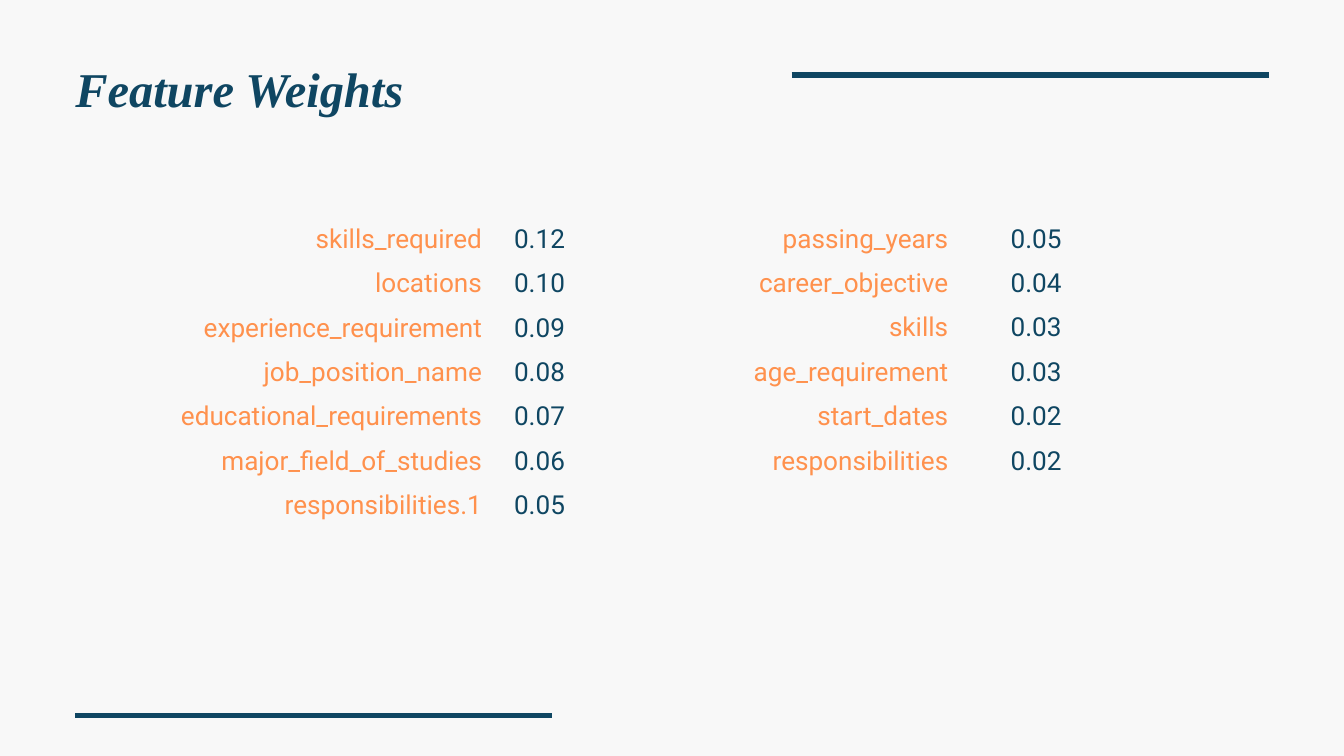
import pptx
import pptx.dml.color
import pptx.enum.shapes
import pptx.enum.text
import pptx.util
from pptx.util import Inches

NAVY = pptx.dml.color.RGBColor(0x0F, 0x46, 0x62)
ORANGE = pptx.dml.color.RGBColor(0xFF, 0x91, 0x4D)
PAPER = pptx.dml.color.RGBColor(0xF8, 0xF8, 0xF8)
LEFT = pptx.enum.text.PP_ALIGN.LEFT
RIGHT = pptx.enum.text.PP_ALIGN.RIGHT

MARGIN = 1.12
RULE_LENGTH = 7.1

FIRST_WEIGHTS = [
    ("skills_required", "0.12"),
    ("locations", "0.10"),
    ("experience_requirement", "0.09"),
    ("job_position_name", "0.08"),
    ("educational_requirements", "0.07"),
    ("major_field_of_studies", "0.06"),
    ("responsibilities.1", "0.05"),
]
SECOND_WEIGHTS = [
    ("passing_years", "0.05"),
    ("career_objective", "0.04"),
    ("skills", "0.03"),
    ("age_requirement", "0.03"),
    ("start_dates", "0.02"),
    ("responsibilities", "0.02"),
]


def add_text(s, left, top, width, height, lines, size, spacing, color,
             font="Roboto", align=LEFT, emphasis=False):
    sp = s.shapes.add_textbox(Inches(left), Inches(top), Inches(width), Inches(height))
    tf = sp.text_frame
    tf.margin_left = tf.margin_top = tf.margin_right = tf.margin_bottom = 0
    tf.word_wrap = True
    tf.text = "\n".join(lines)
    for p in tf.paragraphs:
        p.alignment = align
        p.line_spacing = pptx.util.Pt(spacing)
        for r in p.runs:
            r.font.name = font
            r.font.size = pptx.util.Pt(size)
            r.font.color.rgb = color
            r.font.bold = r.font.italic = emphasis


def add_rule(s, left, top, width):
    rule = s.shapes.add_connector(
        pptx.enum.shapes.MSO_CONNECTOR.STRAIGHT,
        Inches(left), Inches(top), Inches(left + width), Inches(top))
    rule.line.color.rgb = NAVY
    rule.line.width = pptx.util.Pt(6)
    rule._element.spPr.append(pptx.oxml.parse_xml(
        '<a:effectLst xmlns:a="http://schemas.openxmlformats.org/drawingml/2006/main"/>'))


def add_title(s, left, top, width, height):
    add_text(s, left, top, width, height, ["Feature Weights"], 52, 72.8, NAVY,
             font="Times New Roman", emphasis=True)


def add_weights(s, left, top, height, name_width, gap, value_width, weights):
    names, values = zip(*weights)
    add_text(s, left, top, name_width, height, names, 28, 47.6, ORANGE, align=RIGHT)
    add_text(s, left + name_width + gap, top, value_width, height, values, 28, 47.6, NAVY)


def main():
    prs = pptx.Presentation()
    prs.slide_width, prs.slide_height = Inches(20), Inches(11.25)
    s = prs.slides.add_slide(prs.slide_layouts[6])
    s.background.fill.solid()
    s.background.fill.fore_color.rgb = PAPER

    add_rule(s, MARGIN, 10.65, RULE_LENGTH)
    add_rule(s, 20 - MARGIN - RULE_LENGTH, MARGIN, RULE_LENGTH)
    add_title(s, MARGIN, 0.73, 7.58, 0.97)
    add_weights(s, 1.36, 3.11, 5.21, 5.81, 0.48, 1.15, FIRST_WEIGHTS)
    add_weights(s, 10.59, 3.11, 4.56, 3.52, 0.93, 1.24, SECOND_WEIGHTS)
    prs.save("out.pptx")


if __name__ == "__main__":
    main()
